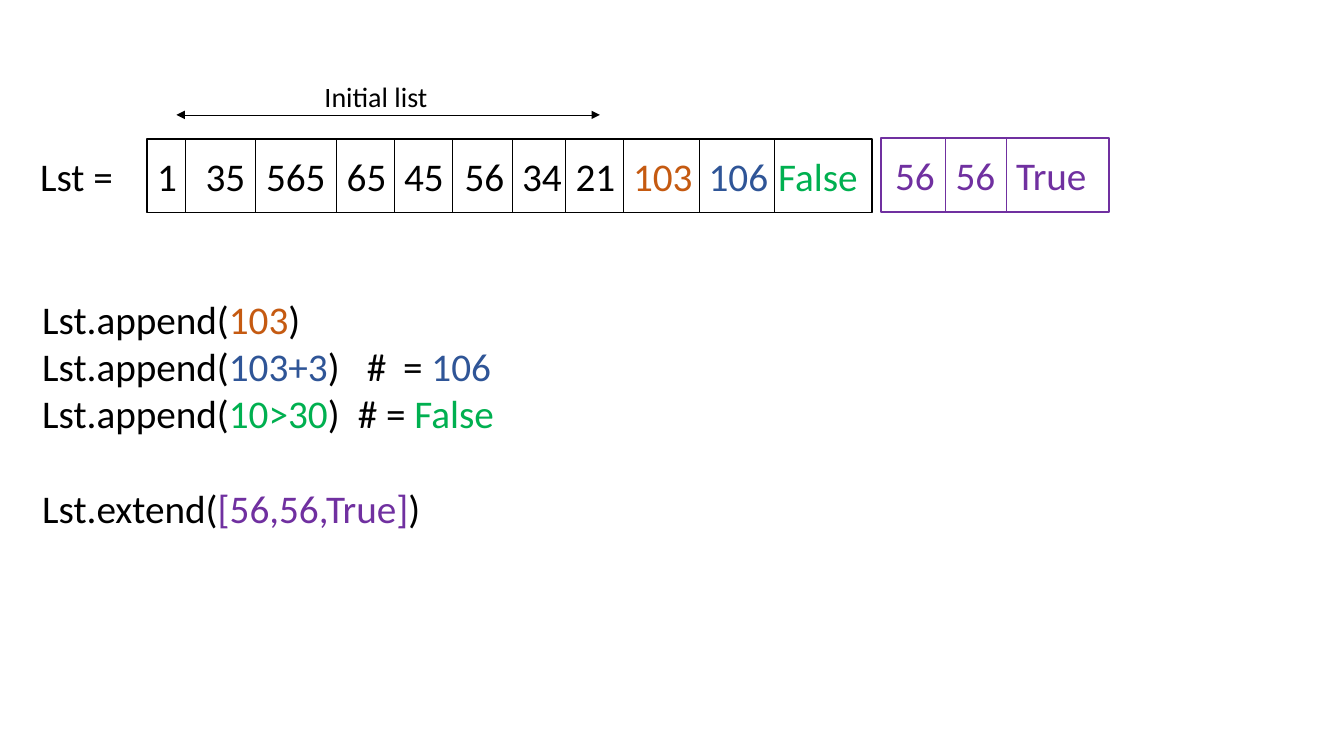
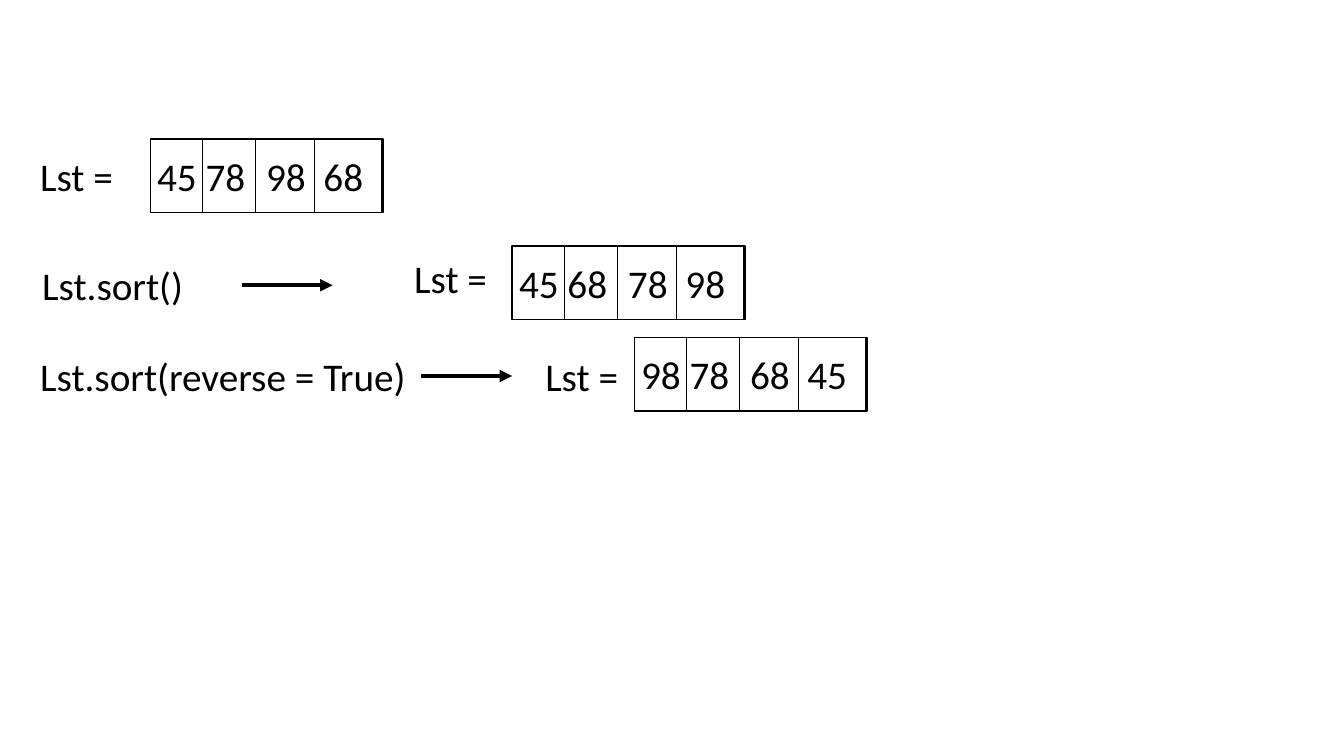
import dataclasses

import lxml.etree
import pptx
import pptx.dml.color
import pptx.enum.shapes
import pptx.enum.text
import pptx.oxml.ns
import pptx.util


@dataclasses.dataclass(frozen=True)
class Theme:
    font: str = "Calibri"
    body: int = 28
    note: int = 20
    black: str = "000000"
    orange: str = "C55A11"
    blue: str = "2F5597"
    green: str = "00B050"
    purple: str = "7030A0"
    rows: int = 75
    thin: float = 0.5
    frame: float = 1
    accent: float = 1.5
    arrow: float = 3


THEME = Theme()
ROW_HEIGHT = 7.3
TEXT_HEIGHT = 5.7


def set_all(target, values):
    for name, value in values.items():
        setattr(target, name, value)


def add_xml(parent, tag, **attrs):
    name = pptx.oxml.ns.qn(tag)
    return lxml.etree.SubElement(parent, name, attrs)


class Deck:
    def __init__(self, theme):
        self.theme = theme
        self.prs = pptx.Presentation()
        set_all(self.prs, {"slide_width": pptx.util.Inches(13.33),
                           "slide_height": pptx.util.Inches(7.5)})
        self.cell = self.prs.slide_height / theme.rows
        self.slide = None

    def new_slide(self):
        self.slide = self.prs.slides.add_slide(self.prs.slide_layouts[6])

    def grid(self, *cells):
        return [pptx.util.Emu(round(n * self.cell)) for n in cells]

    def stroke(self, sp, colour, width):
        sp.line.color.rgb = pptx.dml.color.RGBColor.from_string(colour)
        sp.line.width = pptx.util.Pt(width)

    def text(self, x, y, w, paragraphs, h=TEXT_HEIGHT, size=None):
        sp = self.slide.shapes.add_textbox(*self.grid(x, y, w, h))
        tf = sp.text_frame
        set_all(tf, {"word_wrap": True,
                     "auto_size": pptx.enum.text.MSO_AUTO_SIZE.SHAPE_TO_FIT_TEXT})
        for i, runs in enumerate(paragraphs):
            p = tf.paragraphs[0] if i == 0 else tf.add_paragraph()
            for content, colour in runs:
                r = p.add_run()
                r.text = content
                set_all(r.font, {"name": self.theme.font,
                                 "size": pptx.util.Pt(size or self.theme.body)})
                r.font.color.rgb = pptx.dml.color.RGBColor.from_string(colour)
        return tf

    def label(self, x, y, w, content, colour=None, **options):
        self.text(x, y, w, [[(content, colour or self.theme.black)]], **options)

    def tabs(self, p, stops):
        tab_list = add_xml(p._p.get_or_add_pPr(), "a:tabLst")
        for stop in self.grid(*stops):
            add_xml(tab_list, "a:tab", pos=str(stop), algn="l")

    def line(self, x1, y1, x2, y2, colour=None, width=None, ends=()):
        kind = pptx.enum.shapes.MSO_CONNECTOR.STRAIGHT
        sp = self.slide.shapes.add_connector(kind, *self.grid(x1, y1, x2, y2))
        self.stroke(sp, colour or self.theme.black, width or self.theme.thin)
        sp_pr = sp.element.spPr
        for end in ends:
            add_xml(sp_pr.find(pptx.oxml.ns.qn("a:ln")), end, type="triangle")
        add_xml(sp_pr, "a:effectLst")

    def list_row(self, x, y, w, items, dividers, colour=None, width=None):
        colour = colour or self.theme.black
        kind = pptx.enum.shapes.MSO_SHAPE.RECTANGLE
        sp = self.slide.shapes.add_shape(kind, *self.grid(x, y, w, ROW_HEIGHT))
        sp.shadow.inherit = False
        sp.fill.background()
        self.stroke(sp, colour, width or self.theme.frame)
        for offset in dividers:
            self.line(x + offset, y, x + offset, y + ROW_HEIGHT, colour)
        for offset, content, ink in items:
            self.label(x + offset, y + 0.8, 2.9 + 2 * len(content), content, ink)

    def short_list(self, x, y, values):
        items = [(offset, value, self.theme.black)
                 for offset, value in zip((-0.3, 4.5, 10.5, 16.2), values)]
        self.list_row(x, y, 23.1, items, (5.2, 10.4, 16.3, 22.9))


def growing_list(deck):
    t = deck.theme
    deck.new_slide()
    deck.label(3, 14.6, 18.3, "Lst =")
    initial = zip((0, 4.8, 10.8, 18.8, 24.5, 30.5, 36.2, 41.5),
                  ("1", "35", "565", "65", "45", "56", "34", "21"))
    items = [(offset, value, t.black) for offset, value in initial]
    items += [(47.2, "103", t.orange), (54.7, "106", t.blue), (61.6, "False", t.green)]
    deck.list_row(14.6, 13.8, 71.9, items,
                  (3.8, 10.7, 18.8, 24.5, 30.3, 36.2, 41.5, 47.2, 54.8, 62.2))
    extension = [(offset, value, t.purple)
                 for offset, value in zip((0.4, 6.4, 12.4), ("56", "56", "True"))]
    deck.list_row(87.4, 13.7, 22.6, extension, (6.4, 12.4), t.purple, t.accent)
    deck.line(59.5, 11.4, 17.5, 11.4, ends=("a:headEnd", "a:tailEnd"))
    deck.label(31.2, 7.4, 18.3, "Initial list", h=4.4, size=t.note)

    def call(method, argument, colour, *rest):
        return [(f"Lst.{method}(", t.black), (argument, colour), *rest]

    tf = deck.text(3.2, 28.8, 48.8, [
        call("append", "103", t.orange, (")", t.black)),
        call("append", "103+3", t.blue, (")\t#\t= ", t.black), ("106", t.blue)),
        call("append", "10>30", t.green, (")\t# = ", t.black), ("False", t.green)),
        call("extend", "[56,56,True]", t.purple, (")", t.black)),
    ], h=24.6)
    deck.tabs(tf.paragraphs[1], (32.2, 35.8))
    deck.tabs(tf.paragraphs[2], (31.3,))
    tf.paragraphs[3].space_before = pptx.util.Pt(34)


def sorted_lists(deck):
    deck.new_slide()
    for x, y, values, label_x, label_y in (
            (14.9, 13.8, ("45", "78", "98", "68"), 3, 14.6),
            (50.8, 24.4, ("45", "68", "78", "98"), 40.1, 24.7),
            (62.9, 33.5, ("98", "78", "68", "45"), 53.1, 34.5)):
        deck.label(label_x, label_y, 18.3, "Lst =")
        deck.short_list(x, y, values)
    for x, y, content, arrow_x, arrow_y in (
            (3.2, 25.4, "Lst.sort()", 24, 28.3),
            (3, 34.5, "Lst.sort(reverse = True)", 41.8, 37.3)):
        deck.label(x, y, 48.8, content)
        deck.line(arrow_x, arrow_y, arrow_x + 9, arrow_y,
                  width=deck.theme.arrow, ends=("a:tailEnd",))


def main():
    deck = Deck(THEME)
    growing_list(deck)
    sorted_lists(deck)
    deck.prs.save("out.pptx")


if __name__ == "__main__":
    main()
